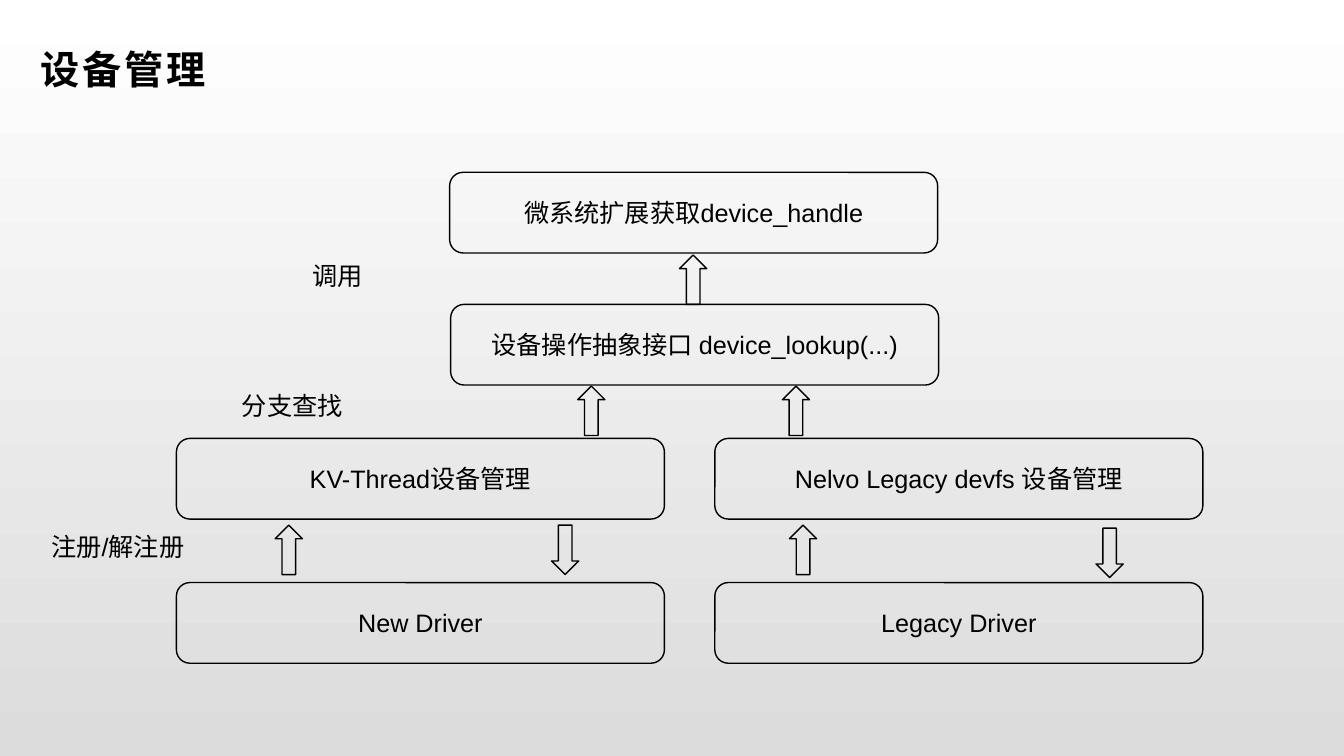
"""Build the device management slide with its layered driver diagram."""
import pptx
import pptx.dml.color
import pptx.enum.shapes
import pptx.enum.text
import pptx.util

BLACK = pptx.dml.color.RGBColor(0x00, 0x00, 0x00)
WHITE = pptx.dml.color.RGBColor(0xFF, 0xFF, 0xFF)
SILVER = pptx.dml.color.RGBColor(0xDC, 0xDC, 0xDC)
SHAPE = pptx.enum.shapes.MSO_SHAPE
ALIGN = pptx.enum.text.PP_ALIGN
ANCHOR = pptx.enum.text.MSO_ANCHOR
AUTO_SIZE = pptx.enum.text.MSO_AUTO_SIZE
LAYER_W, LAYER_H = 484, 80
ARROW_W, ARROW_H = 27, 49
LEFT_X, RIGHT_X = 175, 709
MANAGER_Y, DRIVER_Y = 435, 578


def px(length):
    return pptx.util.Emu(length * 9144)


class Deck:
    font = "Arial"
    body_size = 18
    title_size = 28

    def __init__(self, width, height):
        self.presentation = pptx.Presentation()
        self.presentation.slide_width = px(width)
        self.presentation.slide_height = px(height)
        self.slide = self.presentation.slides.add_slide(self.presentation.slide_layouts[5])

    def background(self, top, bottom):
        fill = self.slide.background.fill
        fill.gradient()
        fill.gradient_angle = 270
        for stop, position, color in zip(fill.gradient_stops, (0, 1), (top, bottom)):
            stop.position = position
            stop.color.rgb = color

    def add_text(self, frame, text, size, align, anchor):
        frame.word_wrap = True
        frame.vertical_anchor = anchor
        paragraph = frame.paragraphs[0]
        paragraph.alignment = align
        run = paragraph.add_run()
        run.text = text
        run.font.name = self.font
        run.font.size = pptx.util.Pt(size)
        run.font.color.rgb = BLACK
        return run

    def title(self, text, x, y, width, height):
        heading = self.slide.shapes.title
        heading.left, heading.top = px(x), px(y)
        heading.width, heading.height = px(width), px(height)
        frame = heading.text_frame
        frame.auto_size = AUTO_SIZE.NONE
        frame.margin_left, frame.margin_right = px(11), px(8)
        frame.margin_top = frame.margin_bottom = px(4)
        run = self.add_text(frame, text, self.title_size, ALIGN.LEFT, ANCHOR.MIDDLE)
        run.font.bold = True
        run._r.get_or_add_rPr().set("spc", "200")

    def label(self, text, x, y, width):
        box = self.slide.shapes.add_textbox(px(x), px(y), px(width), px(40))
        self.add_text(box.text_frame, text, self.body_size, ALIGN.LEFT, ANCHOR.TOP)
        box.text_frame.auto_size = AUTO_SIZE.SHAPE_TO_FIT_TEXT

    def outline(self, kind, x, y, width, height):
        shape = self.slide.shapes.add_shape(kind, px(x), px(y), px(width), px(height))
        shape.shadow.inherit = False
        shape.fill.background()
        shape.line.color.rgb = BLACK
        shape.line.width = pptx.util.Pt(1)
        return shape

    def layer(self, text, x, y):
        box = self.outline(SHAPE.ROUNDED_RECTANGLE, x, y, LAYER_W, LAYER_H)
        self.add_text(box.text_frame, text, self.body_size, ALIGN.CENTER, ANCHOR.MIDDLE)

    def arrow(self, x, y, rotation=0):
        self.outline(SHAPE.UP_ARROW, x, y, ARROW_W, ARROW_H).rotation = rotation


def main():
    deck = Deck(1333, 750)
    deck.background(WHITE, SILVER)
    deck.title("设备管理", 29, 33, 1187, 71)

    for text, x, y in (
        ("微系统扩展获取device_handle", 446, 171),
        ("设备操作抽象接口 device_lookup(...)", 447, 302),
        ("KV-Thread设备管理", LEFT_X, MANAGER_Y),
        ("Nelvo Legacy devfs 设备管理", RIGHT_X, MANAGER_Y),
        ("New Driver", LEFT_X, DRIVER_Y),
        ("Legacy Driver", RIGHT_X, DRIVER_Y),
    ):
        deck.layer(text, x, y)

    for x, y in ((674, 253), (573, 383), (776, 383), (273, 521), (783, 521)):
        deck.arrow(x, y)
    for x, y in ((547, 521), (1087, 524)):
        deck.arrow(x, y, 180)

    for text, x, y, width in (
        ("调用", 300, 253, 116),
        ("分支查找", 230, 382, 152),
        ("注册/解注册", 41, 522, 160),
    ):
        deck.label(text, x, y, width)

    deck.presentation.save("out.pptx")


if __name__ == "__main__":
    main()
